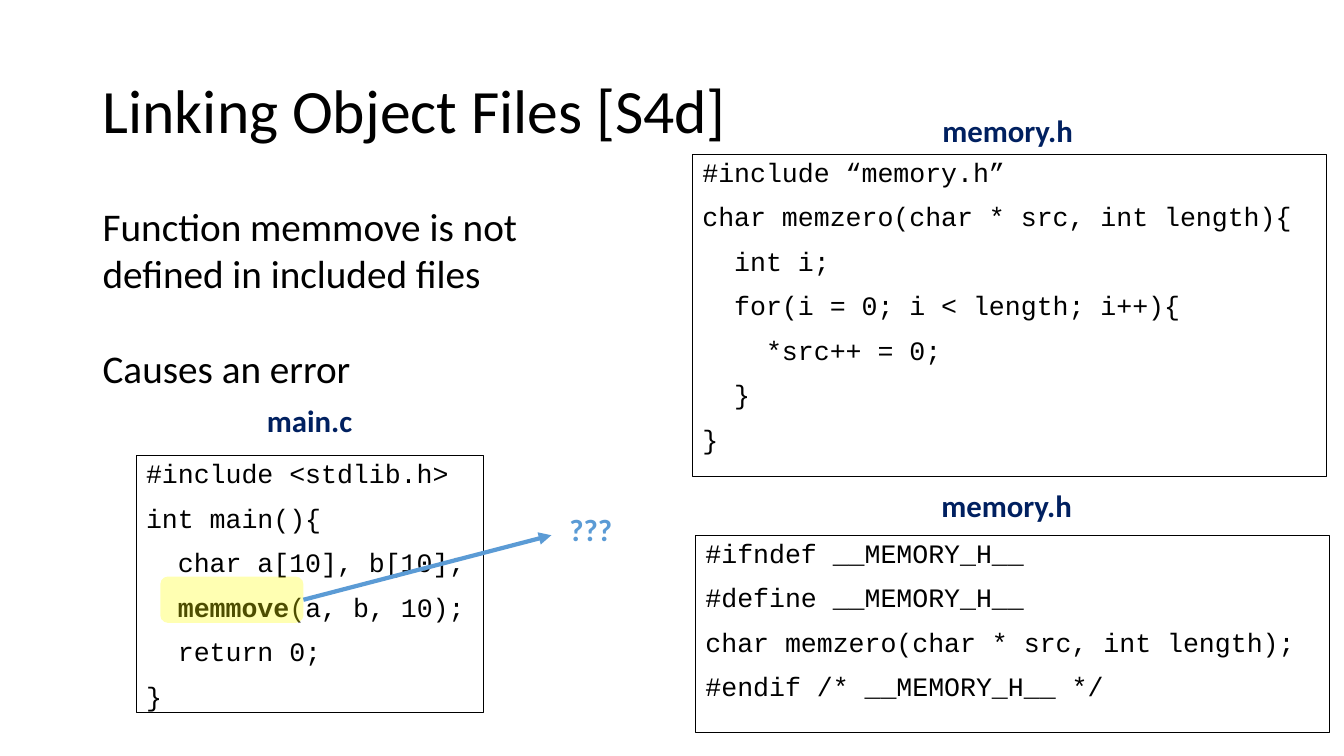
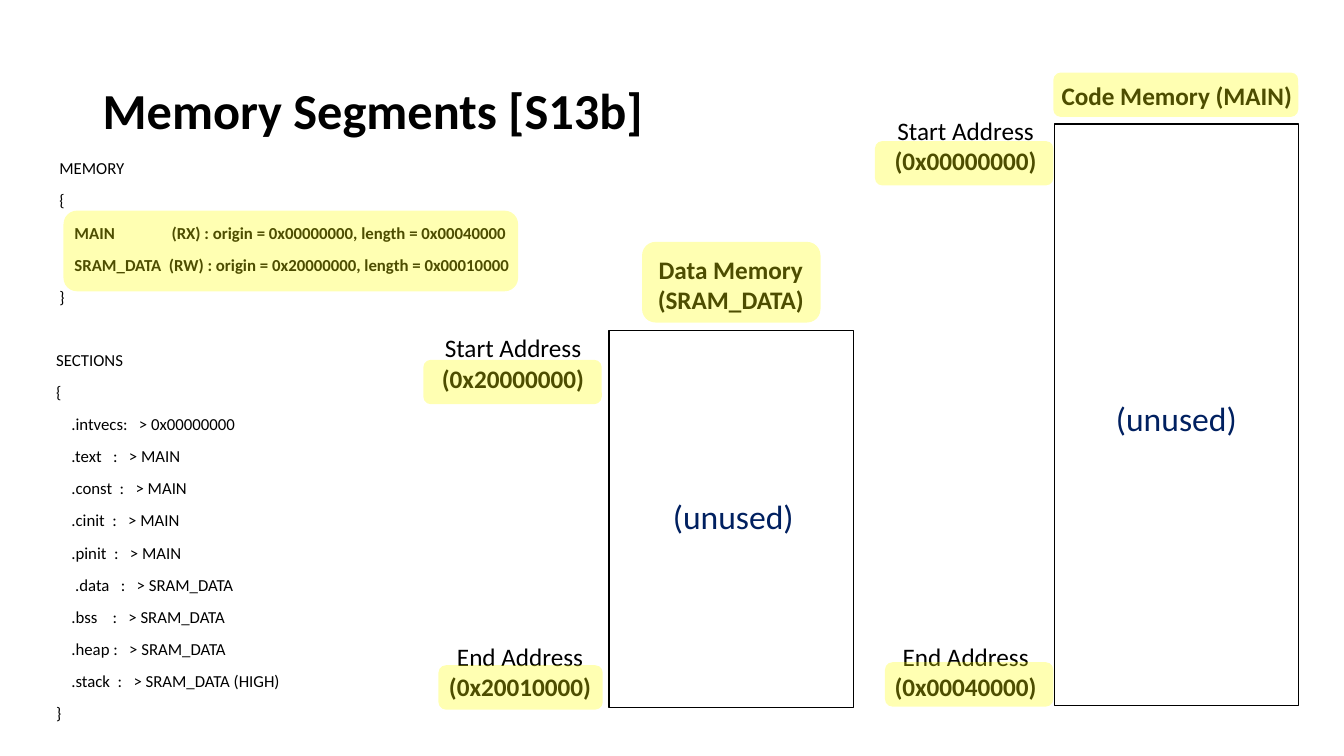
from dataclasses import dataclass

import pptx
import pptx.dml.color
import pptx.enum.shapes
import pptx.enum.text
import pptx.oxml
import pptx.oxml.ns
import pptx.shapes.autoshape
import pptx.slide
import pptx.util

RGBColor = pptx.dml.color.RGBColor
Shape = pptx.shapes.autoshape.Shape
Slide = pptx.slide.Slide
ShapeKind = pptx.enum.shapes.MSO_SHAPE
Align = pptx.enum.text.PP_ALIGN
Anchor = pptx.enum.text.MSO_ANCHOR

BLACK = RGBColor(0x00, 0x00, 0x00)
WHITE = RGBColor(0xFF, 0xFF, 0xFF)
NAVY = RGBColor(0x00, 0x20, 0x60)
BLUE = RGBColor(0x5B, 0x9B, 0xD5)
YELLOW = RGBColor(0xFF, 0xFF, 0x00)
HIGHLIGHT_OPACITY = 30

# The slide is a grid of square cells, 75 rows high.
CELL = pptx.util.Inches(0.1)
SLIDE_COLUMNS, SLIDE_ROWS = 133.33, 75


@dataclass(frozen=True)
class Box:
    """A rectangle in grid columns and rows."""
    column: float
    row: float
    columns: float
    rows: float


@dataclass(frozen=True)
class Run:
    text: str
    bold: bool = False


Line = tuple[Run, ...]


@dataclass(frozen=True)
class TextStyle:
    size: float
    font: str = "Calibri"
    color: RGBColor = BLACK
    align: Align = Align.LEFT
    anchor: Anchor = Anchor.TOP
    line_spacing: float = 1.0
    space_before: float = 0
    wrap: bool = True


@dataclass(frozen=True)
class CodeListing:
    box: Box
    lines: tuple[Line, ...]
    name: str
    name_box: Box


@dataclass(frozen=True)
class AddressLabel:
    box: Box
    caption: str
    address: str
    highlight: Box


@dataclass(frozen=True)
class MemoryRegion:
    outline: Box
    heading: str
    heading_box: Box
    heading_highlight: Box
    unused_box: Box
    addresses: tuple[AddressLabel, ...]


CODE = TextStyle(19, "Courier New", line_spacing=0.9, space_before=11.3)
FILE_NAME = TextStyle(22, color=NAVY, wrap=False)
UNKNOWN = TextStyle(22, color=BLUE, wrap=False)
REMARK = TextStyle(28, space_before=34)
LINKER_SCRIPT = TextStyle(12, line_spacing=0.9, space_before=10)
LABEL = TextStyle(18, align=Align.CENTER)
UNUSED = TextStyle(24, color=NAVY, align=Align.CENTER, anchor=Anchor.MIDDLE)


def plain(*texts: str) -> tuple[Line, ...]:
    return tuple((Run(text),) for text in texts)


def bold(*texts: str) -> tuple[Line, ...]:
    return tuple((Run(text, True),) for text in texts)


LISTINGS = (
    CodeListing(
        Box(69, 53.1, 62.9, 19.6),
        plain(
            "#ifndef __MEMORY_H__",
            "#define __MEMORY_H__",
            "char memzero(char * src, int length);",
            "#endif /* __MEMORY_H__ */",
        ),
        "memory.h", Box(92.4, 47.8, 15.1, 4.7),
    ),
    CodeListing(
        Box(68.7, 15.3, 62.9, 32),
        plain(
            "#include “memory.h”",
            "char memzero(char * src, int length){",
            "  int i;",
            "  for(i = 0; i < length; i++){",
            "    *src++ = 0;",
            "  }",
            "}",
        ),
        "memory.h", Box(92.5, 10.6, 15.1, 4.7),
    ),
    CodeListing(
        Box(13.5, 45.2, 34.5, 25.5),
        plain("#include <stdlib.h>", "int main(){", "  char a[10], b[10];")
        + ((Run("  "), Run("memmove", True), Run("(a, b, 10);")),)
        + plain("  return 0;", "}"),
        "main.c", Box(25.5, 39.4, 10.6, 4.7),
    ),
)

MEMORY_SCRIPT = (
    plain("MEMORY", "{")
    + bold(
        "    MAIN               (RX) : origin = 0x00000000, length = 0x00040000",
        "    SRAM_DATA  (RW) : origin = 0x20000000, length = 0x00010000",
    )
    + plain("}")
)

SECTIONS_SCRIPT = plain(
    "SECTIONS",
    "{",
    "    .intvecs:   > 0x00000000",
    "    .text   :   > MAIN",
    "    .const  :   > MAIN",
    "    .cinit  :   > MAIN",
    "    .pinit  :   > MAIN",
    "     .data   :   > SRAM_DATA",
    "    .bss    :   > SRAM_DATA",
    "    .heap :   > SRAM_DATA",
    "    .stack  :   > SRAM_DATA (HIGH)",
    "}",
)

REGIONS = (
    MemoryRegion(
        Box(104.6, 12.3, 24.2, 57.7),
        "Code Memory (MAIN)", Box(103.6, 7.5, 26.3, 4), Box(104.5, 7.2, 24.3, 4.4),
        Box(104.7, 39.5, 24, 3.9),
        (
            AddressLabel(Box(85.5, 10.9, 20.6, 7.1), "Start Address",
                         "(0x00000000)", Box(86.8, 14, 17.7, 4.4)),
            AddressLabel(Box(85.5, 63.1, 20.6, 7.1), "End Address",
                         "(0x00040000)", Box(87.8, 65.7, 16.7, 4.4)),
        ),
    ),
    MemoryRegion(
        Box(60.4, 32.8, 24.3, 37.4),
        "Data Memory (SRAM_DATA)", Box(61.8, 24.7, 21.4, 7.1), Box(63.7, 24, 17.7, 8),
        Box(61.1, 49.4, 23.3, 3.6),
        (
            AddressLabel(Box(40.6, 32.5, 20.6, 7.1), "Start Address",
                         "(0x20000000)", Box(42, 35.7, 17.7, 4.4)),
            AddressLabel(Box(41.3, 63.1, 20.6, 7.1), "End Address",
                         "(0x20010000)", Box(43.5, 66, 16.3, 4.4)),
        ),
    ),
)


def cells(count: float) -> int:
    return round(count * CELL)


def place(box: Box) -> tuple[int, int, int, int]:
    return cells(box.column), cells(box.row), cells(box.columns), cells(box.rows)


def write(shape: Shape, lines: tuple[Line, ...], style: TextStyle) -> None:
    frame = shape.text_frame
    frame.word_wrap = style.wrap
    frame.vertical_anchor = style.anchor
    for index, line in enumerate(lines):
        paragraph = frame.add_paragraph() if index else frame.paragraphs[0]
        paragraph.alignment = style.align
        paragraph.line_spacing = style.line_spacing
        paragraph.space_before = pptx.util.Pt(style.space_before if index else 0)
        for part in line:
            run = paragraph.add_run()
            run.text = part.text
            run.font.name = style.font
            run.font.size = pptx.util.Pt(style.size)
            run.font.bold = part.bold
            run.font.color.rgb = style.color


def add_text(slide: Slide, box: Box, lines: tuple[Line, ...], style: TextStyle) -> None:
    write(slide.shapes.add_textbox(*place(box)), lines, style)


def add_title(slide: Slide, line: Line, size: float) -> None:
    style = TextStyle(size, anchor=Anchor.MIDDLE, line_spacing=0.9)
    add_text(slide, Box(9.2, 4, 115, 14.5), (line,), style)


def add_filled(slide: Slide, kind: ShapeKind, box: Box, color: RGBColor) -> Shape:
    shape = slide.shapes.add_shape(kind, *place(box))
    shape.shadow.inherit = False
    shape.fill.solid()
    shape.fill.fore_color.rgb = color
    shape.line.fill.background()
    return shape


def add_outline(slide: Slide, box: Box, width: float) -> Shape:
    shape = slide.shapes.add_shape(ShapeKind.RECTANGLE, *place(box))
    shape.shadow.inherit = False
    shape.fill.background()
    shape.line.color.rgb = BLACK
    shape.line.width = pptx.util.Pt(width)
    return shape


def add_highlight(slide: Slide, box: Box) -> None:
    """Lay a translucent yellow marker over the text beneath."""
    marker = add_filled(slide, ShapeKind.ROUNDED_RECTANGLE, box, YELLOW)
    color = next(marker.element.spPr.iter(pptx.oxml.ns.qn("a:srgbClr")))
    alpha = pptx.oxml.parse_xml(
        f'<a:alpha {pptx.oxml.ns.nsdecls("a")} val="{HIGHLIGHT_OPACITY * 1000}"/>')
    color.append(alpha)


def add_arrow(slide: Slide, start: tuple[float, float], end: tuple[float, float]) -> None:
    arrow = slide.shapes.add_connector(
        pptx.enum.shapes.MSO_CONNECTOR.STRAIGHT, *map(cells, start + end))
    arrow.line.color.rgb = BLUE
    arrow.line.width = pptx.util.Pt(3)
    namespace = pptx.oxml.ns.nsdecls("a")
    arrow.line._get_or_add_ln().append(
        pptx.oxml.parse_xml(f'<a:tailEnd {namespace} type="triangle"/>'))
    arrow.element.spPr.append(pptx.oxml.parse_xml(f"<a:effectLst {namespace}/>"))


def build_linking_slide(slide: Slide) -> None:
    add_title(slide, (Run("Linking Object Files [S4d]"),), 44)
    for listing in LISTINGS:
        code = add_outline(slide, listing.box, 0.75)
        write(code, listing.lines, CODE)
        add_text(slide, listing.name_box, bold(listing.name), FILE_NAME)
    remarks = plain("Function memmove is not defined in included files", "Causes an error")
    add_text(slide, Box(9.2, 19.6, 52.2, 19.9), remarks, REMARK)
    add_highlight(slide, Box(15.9, 57.2, 14.2, 4.6))
    add_arrow(slide, (30.1, 59.5), (54.7, 53.1))
    add_text(slide, Box(55.5, 50.2, 6.3, 4.7), bold("???"), UNKNOWN)


def build_memory_slide(slide: Slide) -> None:
    add_title(slide, (Run("Memory Segments [S13b]", True),), 36)
    add_text(slide, Box(4.9, 15.4, 47.2, 16.5), MEMORY_SCRIPT, LINKER_SCRIPT)
    add_text(slide, Box(4.6, 34.4, 27.6, 38.7), SECTIONS_SCRIPT, LINKER_SCRIPT)
    add_highlight(slide, Box(6.3, 20.9, 45.1, 8))
    for region in REGIONS:
        add_outline(slide, region.outline, 1)
        add_text(slide, region.heading_box, bold(region.heading), LABEL)
        add_highlight(slide, region.heading_highlight)
        for label in region.addresses:
            add_text(slide, label.box, plain(label.caption) + bold(label.address), LABEL)
            add_highlight(slide, label.highlight)
        unused = add_filled(slide, ShapeKind.RECTANGLE, region.unused_box, WHITE)
        write(unused, plain("(unused)"), UNUSED)


def main() -> None:
    presentation = pptx.Presentation()
    presentation.slide_width = cells(SLIDE_COLUMNS)
    presentation.slide_height = cells(SLIDE_ROWS)
    blank = presentation.slide_layouts[6]
    for build in (build_linking_slide, build_memory_slide):
        build(presentation.slides.add_slide(blank))
    presentation.save("out.pptx")


if __name__ == "__main__":
    main()
